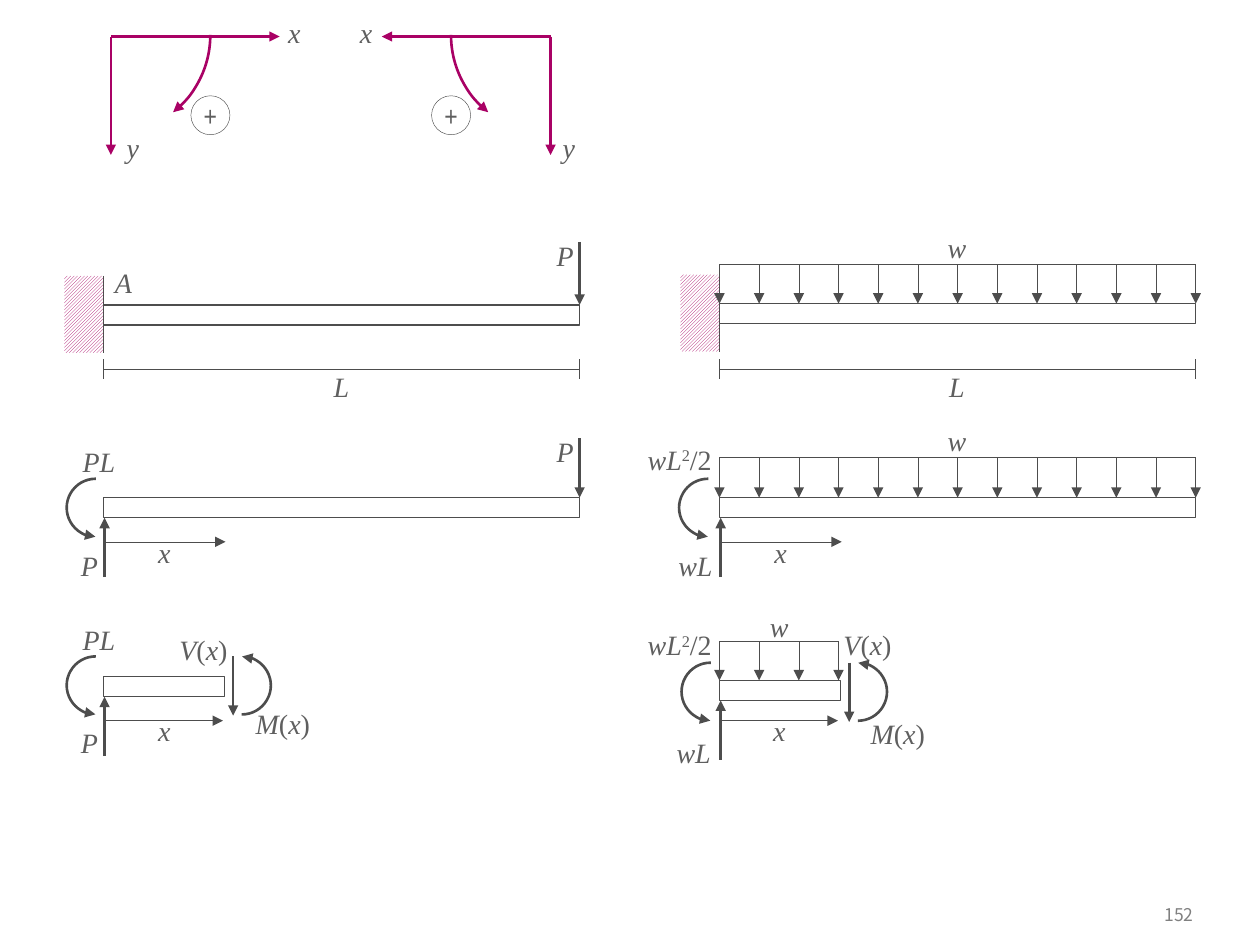
"""Draw sign conventions and free-body diagrams of two cantilever beams."""
from dataclasses import dataclass
from typing import Optional

from lxml.etree import SubElement
from pptx import Presentation
from pptx.dml.color import RGBColor as RGB
from pptx.enum.dml import MSO_PATTERN as PATTERN
from pptx.enum.shapes import MSO_CONNECTOR as CONN, MSO_SHAPE as SHAPE
from pptx.enum.text import MSO_ANCHOR as ANCHOR, MSO_AUTO_SIZE as AUTO, PP_ALIGN as ALIGN
from pptx.oxml.ns import qn
from pptx.util import Inches, Pt


@dataclass(frozen=True)
class Theme:
    accent: RGB = RGB.from_string("A90165")
    ink: RGB = RGB.from_string("4D4D4D")
    label: RGB = RGB.from_string("5F5F5F")
    page: RGB = RGB.from_string("808080")
    paper: RGB = RGB.from_string("FFFFFF")
    math_font: str = "Times New Roman"
    sign_font: str = "Arial Narrow"
    page_font: str = "Noto Sans CJK KR"
    label_size: float = 16
    page_size: float = 10
    bold: float = 1.5
    medium: float = 0.75
    hair: float = 0.25


@dataclass(frozen=True)
class Run:
    text: str
    italic: bool = True
    baseline: int = 0


@dataclass(frozen=True)
class Label:
    runs: tuple
    x: float
    y: float
    w: float


@dataclass(frozen=True)
class Beam:
    x: float
    y: float
    labels: tuple
    length: float = 3.78
    load_top: Optional[float] = None
    load_count: int = 0
    point_top: Optional[float] = None


@dataclass(frozen=True)
class FreeBody:
    beam: Beam
    moment_x: float
    moment_y: float
    axis_y: float
    axis_end: float
    cut: bool = False


T = Theme()
BEAM_DEPTH = 0.16
LOAD_STEP = 0.315
MOMENT_SIZE = 0.46


def of_x(name: str) -> tuple:
    return Run(name), Run("(", False), Run("x"), Run(")", False)


def var(name: str) -> tuple:
    return (Run(name),)


FIXED_MOMENT = (Run("wL"), Run("2", False, 30000), Run("/2", False))


def write(sp, runs, font=T.math_font, size=T.label_size, color=T.label,
          align=ALIGN.CENTER, anchor=ANCHOR.TOP, margin=0.0, wrap=True, auto=AUTO.NONE):
    tf = sp.text_frame
    tf.word_wrap, tf.auto_size, tf.vertical_anchor = wrap, auto, anchor
    if margin == 0:
        tf.margin_left = tf.margin_right = tf.margin_top = tf.margin_bottom = 0
    p = tf.paragraphs[0]
    p.alignment = align
    for run in runs:
        r = p.add_run()
        r.text = run.text
        r.font.name, r.font.size, r.font.italic = font, Pt(size), run.italic
        r.font.color.rgb = color
        if run.baseline:
            r.font._element.set("baseline", str(run.baseline))


def put_label(shapes, label: Label):
    sp = shapes.add_textbox(Inches(label.x), Inches(label.y), Inches(label.w), Inches(0.27))
    write(sp, label.runs, auto=AUTO.SHAPE_TO_FIT_TEXT)


def add_arrowhead(line):
    SubElement(line._get_or_add_ln(), qn("a:tailEnd"), type="triangle")


def stroke(shapes, x1, y1, x2, y2, width=T.hair, color=T.ink, arrow=False):
    c = shapes.add_connector(CONN.STRAIGHT, Inches(x1), Inches(y1), Inches(x2), Inches(y2))
    c.line.color.rgb, c.line.width = color, Pt(width)
    if arrow:
        add_arrowhead(c.line)
    SubElement(c._element.spPr, qn("a:effectLst"))
    return c


def shape(shapes, kind, x, y, w, h, width: Optional[float] = T.medium, color=T.ink):
    sp = shapes.add_shape(kind, Inches(x), Inches(y), Inches(w), Inches(h))
    sp.shadow.inherit = False
    sp.fill.background()
    if width is None:
        sp.line.fill.background()
    else:
        sp.line.color.rgb, sp.line.width = color, Pt(width)
    return sp


def arc(shapes, x, y, size, start, end, color=T.ink, flip=False, rotation=0):
    sp = shape(shapes, SHAPE.ARC, x, y, size, size, T.bold, color)
    sp.adjustments[0], sp.adjustments[1] = start * 0.6, end * 0.6
    sp.rotation = rotation
    if flip:
        sp._element.spPr.xfrm.set("flipH", "1")
    add_arrowhead(sp.line)


def sign_axes(shapes, x, direction, labels):
    y, size, ring = 0.29, 1.56, 0.31
    for x2, y2 in ((x + direction * 1.34, y), (x, 1.23)):
        stroke(shapes, x, y, x2, y2, T.bold, T.accent, arrow=True)
    arc(shapes, x + direction * 0.01 - size / 2, -0.5, size, 359.83, 51.6, T.accent, direction < 0)
    sp = shape(shapes, SHAPE.OVAL, x + direction * 0.79 - ring / 2, 0.76, ring, ring, T.hair)
    sp.fill.solid()
    sp.fill.fore_color.rgb = T.paper
    SubElement(sp._element.spPr.find(qn("a:solidFill"))[0], qn("a:alpha"), val="40000")
    write(sp, (Run("+", False),), font=T.sign_font, anchor=ANCHOR.MIDDLE, wrap=False)
    for label in labels:
        put_label(shapes, label)


def draw_beam(shapes, b: Beam):
    bar = shape(shapes, SHAPE.RECTANGLE, b.x, b.y, b.length, BEAM_DEPTH)
    if b.load_top is not None:
        last = b.load_count - 1
        stroke(shapes, b.x + last * LOAD_STEP, b.load_top, b.x, b.load_top)
        for i in range(b.load_count):
            x = b.x + i * LOAD_STEP
            c = stroke(shapes, x, b.load_top, x, b.y, arrow=True)
            if 2 * i == last:
                c.end_connect(bar, 0)
    if b.point_top is not None:
        end = b.x + b.length
        stroke(shapes, end, b.point_top, end, b.y, T.bold, arrow=True)
    for label in b.labels:
        put_label(shapes, label)


def fixed_beam(shapes, b: Beam):
    wall = shape(shapes, SHAPE.RECTANGLE, b.x - 0.46, b.y - 0.08, 0.61, 0.31, None)
    wall.rotation = 90
    wall.fill.patterned()
    wall.fill.pattern = PATTERN.LIGHT_UPWARD_DIAGONAL
    wall.fill.fore_color.rgb, wall.fill.back_color.rgb = T.accent, T.paper
    stroke(shapes, b.x, b.y - 0.23, b.x, b.y + 0.38)
    draw_beam(shapes, b)
    end, y = b.x + b.length, 2.93
    stroke(shapes, b.x, y, end, y)
    for x in (b.x, end):
        stroke(shapes, x, y - 0.08, x, y + 0.08)


def free_body(shapes, f: FreeBody):
    x, bottom, y = f.beam.x, f.beam.y + BEAM_DEPTH, f.moment_y
    draw_beam(shapes, f.beam)
    stroke(shapes, x + 0.01, bottom + 0.47, x + 0.01, bottom, T.bold, arrow=True)
    stroke(shapes, x + 0.01, f.axis_y, f.axis_end, f.axis_y, arrow=True)
    arc(shapes, f.moment_x, y, MOMENT_SIZE, 269.54, 89.49, flip=True)
    if f.cut:
        stroke(shapes, x + 1.03, y, x + 1.03, y + 0.47, T.bold, arrow=True)
        arc(shapes, x + 0.87, y, MOMENT_SIZE, 269.54, 89.49, flip=True, rotation=180)


X, Y, P, L, W = (var(name) for name in "xyPLw")
PL, WL = var("PL"), var("wL")
AXES = (
    (0.88, 1, (Label(X, 2.19, 0.12, 0.29), Label(Y, 0.91, 1.04, 0.29))),
    (4.37, -1, (Label(X, 2.76, 0.12, 0.29), Label(Y, 4.37, 1.04, 0.29))),
)
FIXED_BEAMS = (
    Beam(0.82, 2.42, (Label(L, 2.55, 2.93, 0.32), Label(P, 4.37, 1.89, 0.23),
                      Label(var("A"), 0.82, 2.11, 0.32)), point_top=1.92),
    Beam(5.71, 2.41, (Label(W, 7.44, 1.83, 0.31), Label(L, 7.43, 2.93, 0.33)),
         load_top=2.1, load_count=13),
)
FREE_BODIES = (
    FreeBody(Beam(0.82, 3.95, (Label(P, 0.59, 4.35, 0.24), Label(PL, 0.59, 3.53, 0.39),
                               Label(P, 4.37, 3.45, 0.23), Label(X, 1.14, 4.25, 0.33)),
                  point_top=3.48), 0.53, 3.8, 4.3, 1.79),
    FreeBody(Beam(0.82, 5.37, (Label(P, 0.59, 5.76, 0.24), Label(PL, 0.59, 4.94, 0.39),
                               Label(X, 1.14, 5.66, 0.33), Label(of_x("M"), 2.01, 5.61, 0.47),
                               Label(of_x("V"), 1.38, 5.02, 0.47)), 0.96),
             0.53, 5.21, 5.72, 1.77, cut=True),
    FreeBody(Beam(5.71, 3.95, (Label(WL, 5.33, 4.35, 0.38), Label(FIXED_MOMENT, 5.08, 3.51, 0.63),
                               Label(X, 6.03, 4.25, 0.33), Label(W, 7.44, 3.36, 0.31)),
                  load_top=3.63, load_count=13), 5.39, 3.8, 4.3, 6.68),
    FreeBody(Beam(5.71, 5.4, (Label(WL, 5.31, 5.84, 0.39), Label(FIXED_MOMENT, 5.08, 4.98, 0.63),
                              Label(X, 6.02, 5.66, 0.33), Label(W, 6.02, 4.84, 0.33),
                              Label(of_x("M"), 6.89, 5.69, 0.47),
                              Label(of_x("V"), 6.65, 4.98, 0.47)), 0.96, 5.09, 4),
             5.41, 5.26, 5.72, 6.65, cut=True),
)


def main():
    prs = Presentation()
    prs.slide_width, prs.slide_height = Inches(10), Inches(7.5)
    s = prs.slides.add_slide(prs.slide_layouts[6])
    page = s.shapes.add_textbox(Inches(8.86), Inches(7.09), Inches(0.71), Inches(0.33))
    write(page, (Run("152", False),), font=T.page_font, size=T.page_size, color=T.page,
          align=ALIGN.RIGHT, anchor=ANCHOR.MIDDLE, margin=0.1)
    for x, direction, labels in AXES:
        sign_axes(s.shapes.add_group_shape().shapes, x, direction, labels)
    for beam in FIXED_BEAMS:
        fixed_beam(s.shapes.add_group_shape().shapes, beam)
    for body in FREE_BODIES:
        free_body(s.shapes.add_group_shape().shapes, body)
    prs.save("out.pptx")


if __name__ == "__main__":
    main()
